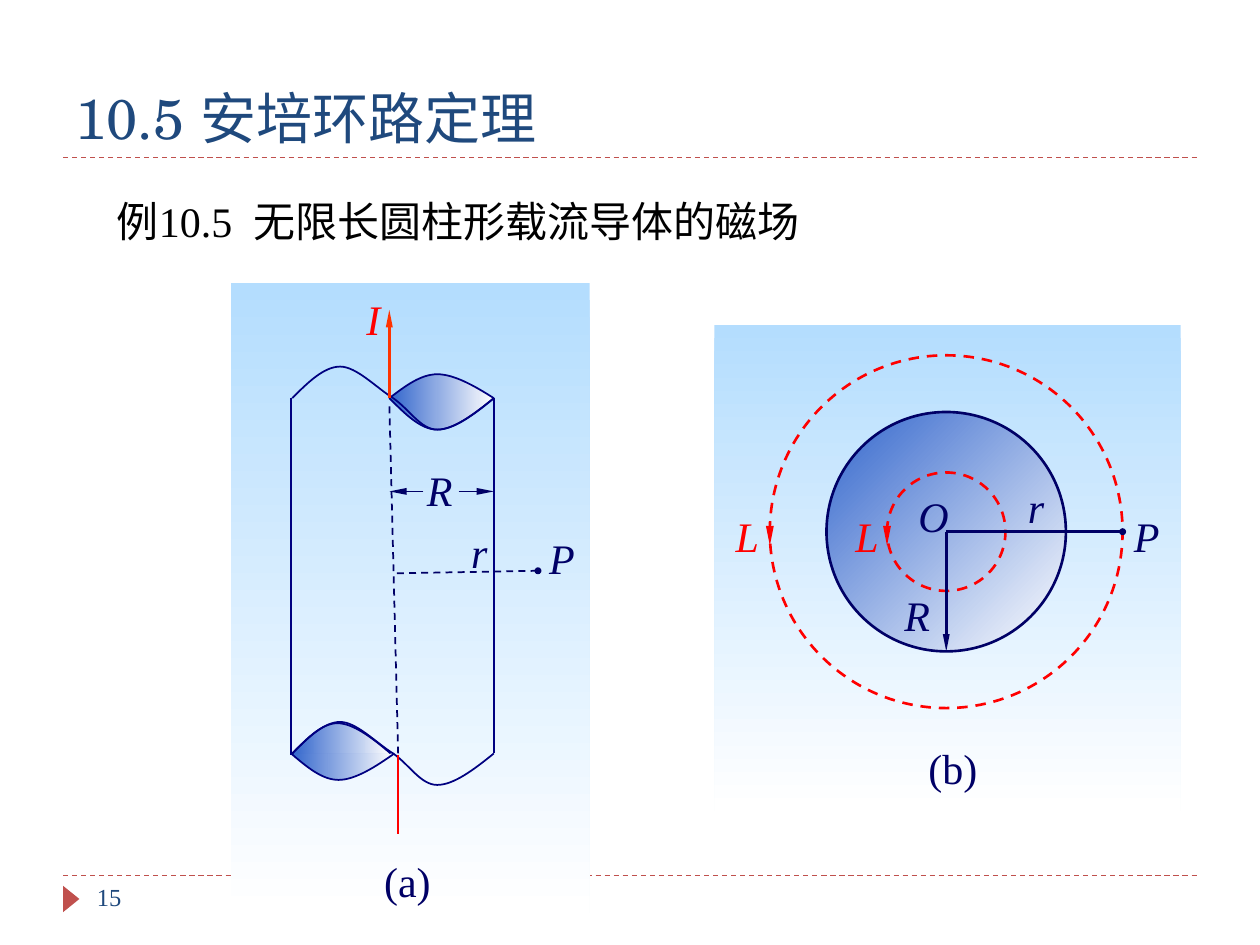
"""Build the slide on the magnetic field of an infinitely long current-carrying cylinder."""
from lxml import etree
from pptx import Presentation
from pptx.dml.color import RGBColor
from pptx.enum.dml import MSO_LINE
from pptx.enum.shapes import MSO_CONNECTOR, MSO_SHAPE
from pptx.enum.text import MSO_ANCHOR, PP_ALIGN
from pptx.oxml.ns import qn
from pptx.util import Inches, Pt

DASH = MSO_LINE.DASH
STRAIGHT = MSO_CONNECTOR.STRAIGHT
RECT, OVAL, TRIANGLE = MSO_SHAPE.RECTANGLE, MSO_SHAPE.OVAL, MSO_SHAPE.ISOSCELES_TRIANGLE

THEME = {
    "title": "1F497D", "text": "000000", "accent": "C0504D",
    "navy": "000066", "edge": "000080", "red": "FF0000", "current": "FF3300",
    "sky": "B4DDFE", "metal": "3366CC", "white": "FFFFFF",
    "title_font": "TeX Gyre Schola", "font": "Times New Roman",
    "title_size": 32, "size": 24, "small": 14,
}

W, H = 10, 7.5
MARGIN = 0.05 * W
RULES = (1.25, 6.95)
TITLE = "10.5 安培环路定理"
EXAMPLE = "例10.5  无限长圆柱形载流导体的磁场"
NUMBER = "15"

LEFT, AXIS, RIGHT, TOP, BOTTOM = 2.31, 3.09, 3.92, 3.16, 5.98
FOOT, ARROW_Y = 3.16, 3.9
PANEL_A = (1.83, 2.25, 2.85, 5)
WAVE = [(0, 0), (.12, -.12), (.25, -.25), (.38, -.25), (.51, -.25), (.67, -.08), (.8, 0),
        (.93, .09), (1.02, .25), (1.15, .25), (1.28, .25), (1.44, .13), (1.6, 0)]
BOW = [(0, 0), (.15, .5), (.3, 1), (.46, 1), (.62, 1), (.82, .5), (1, 0)]
BOWS = [(LEFT, BOTTOM, .82, .21), (2.32, BOTTOM, .78, -.24),
        (AXIS, TOP, .83, .25), (AXIS, TOP, .83, -.19)]
LINES_A = [
    ((LEFT, TOP), (LEFT, 5.99), "edge", 1, {}),
    ((RIGHT, TOP), (RIGHT, BOTTOM), "edge", 1, {}),
    ((FOOT, BOTTOM), (AXIS, 3.2), "navy", 1, {"dash": DASH}),
    ((AXIS, TOP), (AXIS, 2.46), "current", 1.5, {"tail": "triangle"}),
    ((3.15, 4.55), (4.27, 4.53), "navy", 1, {"dash": DASH, "tail": "oval"}),
    ((3.36, ARROW_Y), (AXIS, ARROW_Y), "navy", 1, {"tail": "triangle"}),
    ((3.64, ARROW_Y), (RIGHT, ARROW_Y), "navy", 1, {"tail": "triangle"}),
    ((FOOT, 5.99), (FOOT, 6.62), "red", 1.5, {}),
]
LABELS_A = [("P", 4.26, 4.18, "navy"), ("I", 2.81, 2.28, "red"), ("R", 3.29, 3.64, "navy"),
            ("r", 3.64, 4.13, "navy"), ("(a)", 2.95, 6.74, "navy")]

CX, CY = 7.51, 4.22
R_DISC, R_INNER, R_OUTER = 0.95, 0.47, 1.4
PANEL_B = (5.67, 2.58, 3.7, 3.86)
LINES_B = [
    ((CX, CY), (CX, CY + R_DISC), "navy", 1.5, {"tail": "triangle"}),
    ((CX, CY), (CX + R_OUTER, CY), "navy", 1.5, {"tail": "oval"}),
] + [((CX - radius, 4.18), (CX - radius, 4.33), "red", 2.25, {"tail": "triangle"})
     for radius in (R_INNER, R_OUTER)]
LABELS_B = [("r", 8.06, 3.77, "navy"), ("O", 7.19, 3.84, "navy"), ("R", 7.08, 4.63, "navy"),
            ("P", 8.9, 4, "navy"), ("L", 6.69, 4, "red"), ("L", 5.74, 4, "red"),
            ("(b)", 7.27, 5.84, "navy")]


def rgb(name):
    return RGBColor.from_string(THEME[name])


def inches(*values):
    return [Inches(v) for v in values]


def write(tf, text, color="text", size="size", font="font", italic=False):
    p = tf.paragraphs[0]
    p.alignment = PP_ALIGN.LEFT
    r = p.add_run()
    r.text = text
    r.font.name, r.font.size = THEME[font], Pt(THEME[size])
    r.font.italic, r.font.color.rgb = italic, rgb(color)


def text_box(shapes, box, text, **fmt):
    tf = shapes.add_textbox(*inches(*box)).text_frame
    tf.word_wrap = True
    write(tf, text, **fmt)


def paint(sp, fill=None, angle=None, line=None, width=1, dash=None):
    sp.shadow.inherit = False
    if fill is None:
        sp.fill.background()
    elif angle is None:
        sp.fill.solid()
        sp.fill.fore_color.rgb = rgb(fill)
    else:
        sp.fill.gradient()
        sp.fill.gradient_angle = -angle % 360
        for stop, name in zip(sp.fill.gradient_stops, (fill, "white")):
            stop.color.rgb = rgb(name)
    if line is None:
        sp.line.fill.background()
    else:
        stroke(sp.line, line, width, dash)


def stroke(line, color, width, dash=None):
    line.color.rgb, line.width = rgb(color), Pt(width)
    if dash:
        line.dash_style = dash


def connect(shapes, start, end, color, width, dash=None, tail=None):
    cn = shapes.add_connector(STRAIGHT, *inches(*start, *end))
    stroke(cn.line, color, width, dash)
    if tail:
        etree.SubElement(cn._element.spPr.find(qn("a:ln")), qn("a:tailEnd"), type=tail, w="sm",
                         len="lg" if tail == "triangle" else "sm")
    etree.SubElement(cn._element.spPr, qn("a:effectLst"))


def preset(shapes, kind, box, **fmt):
    sp = shapes.add_shape(kind, *inches(*box))
    paint(sp, **fmt)
    return sp


def circle(shapes, radius, **fmt):
    preset(shapes, OVAL, (CX - radius, CY - radius, 2 * radius, 2 * radius), **fmt)


def curve(shapes, controls, x, y, w=1, h=1, **fmt):
    points = [inches(x + w * px, y + h * py) for px, py in controls]
    builder = shapes.build_freeform(*points[0])
    builder.add_line_segments(points[1:], close=False)
    sp = builder.convert_to_shape()
    segments = list(sp._element.iter(qn("a:lnTo")))
    for i in range(0, len(segments), 3):
        bezier = etree.Element(qn("a:cubicBezTo"))
        segments[i].addprevious(bezier)
        for segment in segments[i:i + 3]:
            bezier.append(segment[0])
            segment.getparent().remove(segment)
    paint(sp, line="edge", **fmt)


def annotate(shapes, lines, labels):
    for start, end, color, width, fmt in lines:
        connect(shapes, start, end, color, width, **fmt)
    for text, x, y, color in labels:
        caption = text.startswith("(")
        text_box(shapes, (x, y, 0.83 if caption else 0.42, 0.5), text,
                 color=color, italic=not caption)


def cylinder(shapes):
    preset(shapes, RECT, PANEL_A, fill="sky", angle=90)
    for bow in BOWS:
        curve(shapes, BOW, *bow, fill="metal", angle=0)
    for y in (TOP, BOTTOM):
        curve(shapes, WAVE, 2.32, y)
    annotate(shapes, LINES_A, LABELS_A)


def cross_section(shapes):
    preset(shapes, RECT, PANEL_B, fill="sky", angle=90)
    circle(shapes, R_DISC, fill="metal", angle=45, line="navy", width=1.5)
    for radius in (R_INNER, R_OUTER):
        circle(shapes, radius, line="red", width=1.5, dash=DASH)
    annotate(shapes, LINES_B, LABELS_B)


def main():
    prs = Presentation()
    prs.slide_width, prs.slide_height = inches(W, H)
    s = prs.slides.add_slide(prs.slide_layouts[5])
    title = s.shapes.title
    title.left, title.top, title.width, title.height = inches(MARGIN, 0.25, W - 2 * MARGIN, 1)
    title.text_frame.vertical_anchor = MSO_ANCHOR.BOTTOM
    write(title.text_frame, TITLE, color="title", size="title_size", font="title_font")
    for y in RULES:
        connect(s.shapes, (MARGIN, y), (W - MARGIN, y), "accent", 0.75, dash=DASH)
    preset(s.shapes, TRIANGLE, (0.46, 7.07, 0.21, 0.13), fill="accent").rotation = 90
    text_box(s.shapes, (0.67, 6.95, 2.17, 0.4), NUMBER, color="title", size="small")
    text_box(s.shapes, (0.83, 1.5, 5.7, 0.5), EXAMPLE)
    for draw in (cylinder, cross_section):
        draw(s.shapes.add_group_shape().shapes)
    prs.save("out.pptx")


if __name__ == "__main__":
    main()
